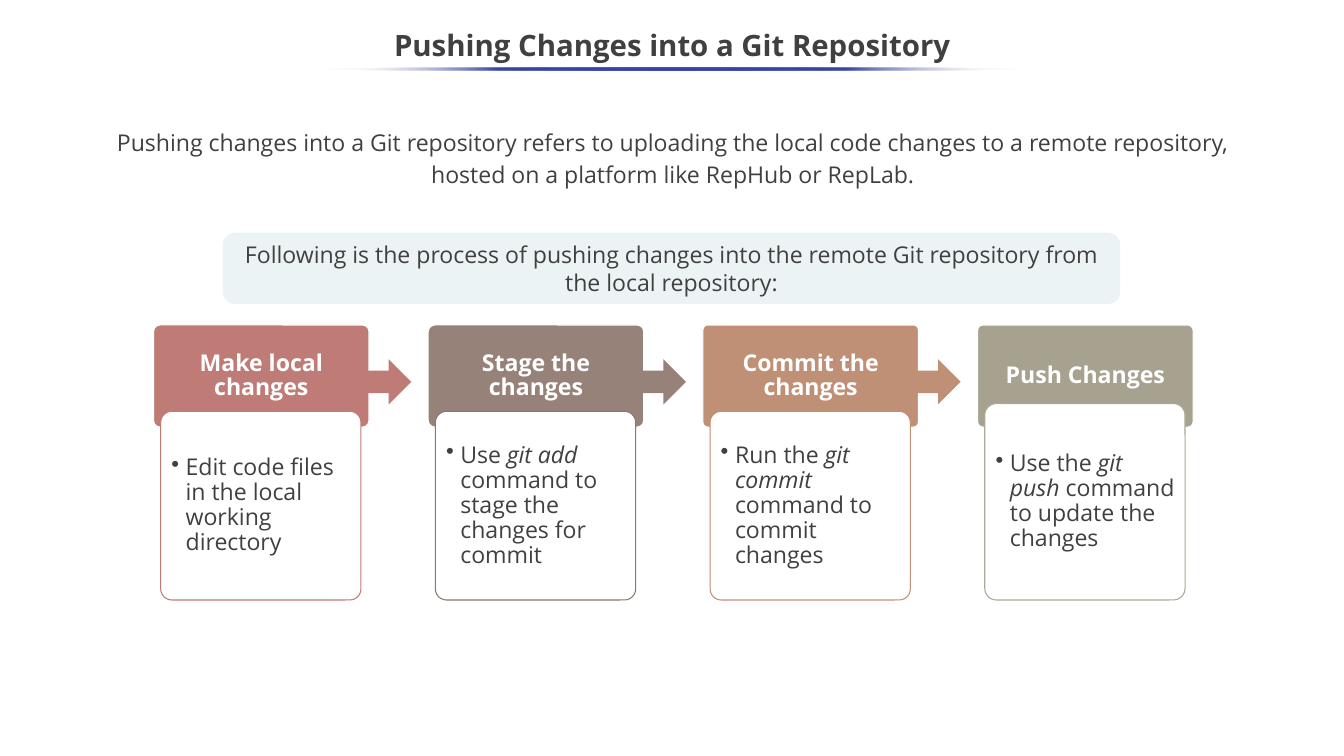
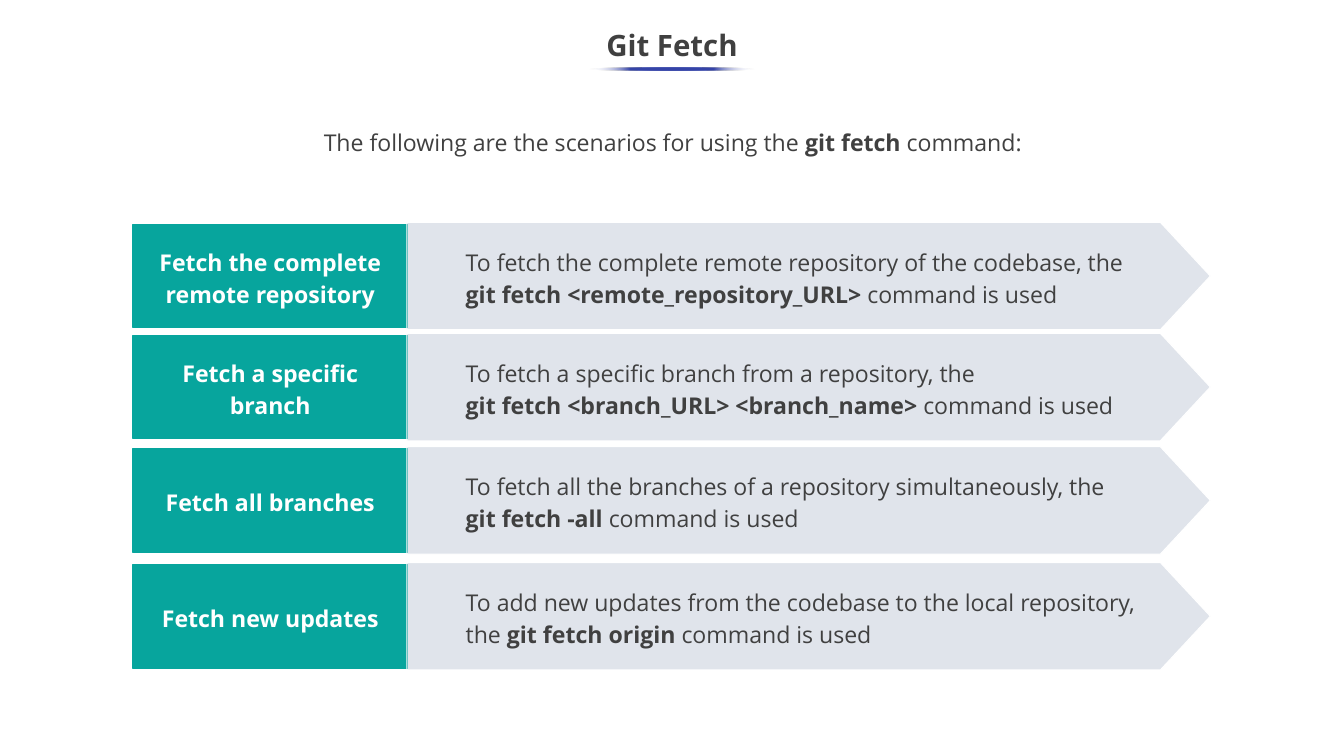
from lxml.etree import SubElement
from pptx import Presentation
from pptx.dml.color import RGBColor
from pptx.enum.shapes import MSO_SHAPE as Preset
from pptx.enum.text import MSO_ANCHOR as Anchor, PP_ALIGN as Align
from pptx.oxml import parse_xml
from pptx.oxml.ns import nsdecls, qn
from pptx.util import Cm, Pt

FONT = "Open Sans"
INK, WHITE = "404040", "FFFFFF"
RULE, BANNER, LABEL, ARROW_TINT = "3645A9", "EBF3F4", "07A59D", "8497B0"
SLIDE_W, SLIDE_H = 45.16, 25.4

# heading, task (emphasis between asterisks), colour, card line, card top, rounding
STEPS = [
    ("Make local changes", "Edit code files in the local working directory",
     "BF7B75", "BF7B75", 13.82, 0.065),
    ("Stage the changes", "Use *git add* command to stage the changes for commit",
     "978279", "8C766D", 13.82, 0.065),
    ("Commit the changes", "Run the *git commit *command to commit changes",
     "BF9075", "BF9075", 13.82, 0.047),
    ("Push Changes", "Use the *git push* command to update the changes",
     "A7A28F", "ACA896", 13.56, 0.052),
]
STEP_LEFT, STEP_TOP, STEP_PITCH = 5.16, 10.92, 9.23
STEP_W, STEP_H = 7.24, 3.43
CARD_W, CARD_BOTTOM = 6.73, 20.16

# row top, scenario, lines of explanation
SCENARIOS = [
    (7.47, "Fetch the complete remote repository",
     ["To fetch the complete remote repository of the codebase, the",
      "*git fetch <remote_repository_URL> *command is used"]),
    (11.2, "Fetch a specific branch",
     ["To fetch a specific branch from a repository, the",
      "*git fetch <branch_URL> <branch_name> *command is used"]),
    (15.01, "Fetch all branches",
     ["To fetch all the branches of a repository simultaneously, the",
      "*git fetch -all *command is used"]),
    (18.9, "Fetch new updates",
     ["To add new updates from the codebase to the local repository, "
      "the *git fetch origin *command is used"]),
]
LABEL_LEFT, LABEL_W, LABEL_H = 4.47, 9.22, 3.48
ARROW_LEFT, ARROW_SHOULDER, ARROW_TIP, ARROW_H = 13.67, 38.99, 40.67, 3.61


def rgb(hex_code):
    return RGBColor.from_string(hex_code)


def write(shape, lines, color=INK, size=22, bold=False, emphasis="bold",
          align=Align.CENTER, spacing=None, anchor=Anchor.MIDDLE,
          insets=(0.25, 0.13, 0.25, 0.13), bullet=False):
    """Fill the shape with lines, emphasising what stands between asterisks."""
    frame = shape.text_frame
    left, top, right, bottom = map(Cm, insets)
    layout = {"word_wrap": True, "vertical_anchor": anchor,
              "margin_left": left, "margin_top": top,
              "margin_right": right, "margin_bottom": bottom}
    for key, value in layout.items():
        setattr(frame, key, value)
    for number, line in enumerate(lines):
        paragraph = frame.add_paragraph() if number else frame.paragraphs[0]
        if bullet:
            add_bullet(paragraph)
        paragraph.alignment = align
        paragraph.line_spacing = spacing
        for part, words in enumerate(line.split("*")):
            if not words:
                continue
            run = paragraph.add_run()
            run.text = words
            style = {"name": FONT, "size": Pt(size), "bold": bold}
            if part % 2:
                style[emphasis] = True
            for key, value in style.items():
                setattr(run.font, key, value)
            run.font.color.rgb = rgb(color)


def add_bullet(paragraph):
    properties = paragraph._p.get_or_add_pPr()
    indent = Cm(0.48)
    properties.set("marL", str(indent))
    properties.set("indent", str(-indent))
    bullet_color = SubElement(properties, qn("a:buClr"))
    SubElement(bullet_color, qn("a:srgbClr"), val=INK)
    SubElement(properties, qn("a:buChar"), char="•")


def paint(shape, fill, line=None):
    shape.shadow.inherit = False
    shape.fill.solid()
    shape.fill.fore_color.rgb = rgb(fill)
    if line:
        shape.line.color.rgb = rgb(line)
        shape.line.width = Pt(1)
    else:
        shape.line.fill.background()


def add_block(slide, preset, box, fill, line=None, rounding=None):
    block = slide.shapes.add_shape(preset, *map(Cm, box))
    paint(block, fill, line)
    if rounding is not None:
        block.adjustments[0] = rounding
    return block


def add_text(slide, box, lines, **style):
    write(slide.shapes.add_textbox(*map(Cm, box)), lines, **style)


def add_title_rule(slide, width):
    """Thin ellipse under the title, fading out at both ends."""
    rule = add_block(slide, Preset.OVAL,
                     ((SLIDE_W - width) / 2, 2.26, width, 0.1), RULE)
    faded = f'<a:srgbClr val="{WHITE}"><a:alpha val="0"/></a:srgbClr>'
    solid = f'<a:srgbClr val="{RULE}"/>'
    stops = "".join(
        f'<a:gs pos="{percent * 1000}">{faded if percent in (0, 100) else solid}</a:gs>'
        for percent in range(0, 101, 25))
    gradient = parse_xml(
        f'<a:gradFill {nsdecls("a")}><a:gsLst>{stops}</a:gsLst>'
        '<a:lin ang="10800000" scaled="0"/></a:gradFill>')
    properties = rule._element.spPr
    properties.replace(properties.find(qn("a:solidFill")), gradient)


def add_titled_slide(deck, title, rule_width, intro):
    slide = deck.slides.add_slide(deck.slide_layouts[6])
    add_text(slide, (3.58, 4.19, 38.05, 2.51), [intro], spacing=1.15,
             anchor=Anchor.TOP, insets=(0.25, 0, 0.25, 0))
    add_text(slide, (0, 0.64, SLIDE_W, 1.9), [title], size=28, bold=True,
             spacing=0.9)
    add_title_rule(slide, rule_width)
    return slide


def add_step(slide, left, step, has_next):
    heading, task, color, outline, card_top, rounding = step
    header = add_block(slide, Preset.ROUNDED_RECTANGLE,
                       (left, STEP_TOP, STEP_W, STEP_H), color, WHITE, rounding)
    write(header, [heading], color=WHITE, bold=True, spacing=0.9)
    if has_next:
        add_block(slide, Preset.RIGHT_ARROW, (left + 7.14, 12.07, 1.52, 1.52), color)
    card = add_block(slide, Preset.ROUNDED_RECTANGLE,
                     (left + 0.24, card_top, CARD_W, CARD_BOTTOM - card_top),
                     WHITE, outline, 0.059)
    write(card, [task], emphasis="italic", align=Align.LEFT, spacing=0.9,
          insets=(0.25, 0.13, 0.2, 0.13), bullet=True)


def add_scenario(slide, top, name, explanation):
    label = add_block(slide, Preset.RECTANGLE,
                      (LABEL_LEFT, top + 0.07, LABEL_W, LABEL_H), LABEL, LABEL)
    write(label, [name], color=WHITE, bold=True, spacing=1.15,
          insets=(0.3, 0.13, 0.3, 0.13))

    bottom = top + ARROW_H
    outline = [(ARROW_SHOULDER, top), (ARROW_TIP, top + ARROW_H / 2),
               (ARROW_SHOULDER, bottom), (ARROW_LEFT, bottom)]
    builder = slide.shapes.build_freeform(Cm(ARROW_LEFT), Cm(top))
    builder.add_line_segments([(Cm(x), Cm(y)) for x, y in outline], close=True)
    arrow = builder.convert_to_shape()
    paint(arrow, ARROW_TINT, WHITE)
    tint = arrow._element.spPr.find(qn("a:solidFill")).find(qn("a:srgbClr"))
    SubElement(tint, qn("a:alpha"), val="25000")
    write(arrow, explanation, align=Align.LEFT, spacing=1.15,
          insets=(1.98, 0.08, 1.83, 0.08))


def build_push_slide(deck):
    slide = add_titled_slide(
        deck, "Pushing Changes into a Git Repository", 23.37,
        "Pushing changes into a Git repository refers to uploading the local code "
        "changes to a remote repository, hosted on a platform like RepHub or RepLab.")
    for index, step in enumerate(STEPS):
        add_step(slide, STEP_LEFT + index * STEP_PITCH, step, index < len(STEPS) - 1)
    banner = add_block(slide, Preset.ROUNDED_RECTANGLE, (7.49, 7.82, 30.15, 2.39), BANNER)
    write(banner, ["Following is the process of pushing changes into the remote "
                   "Git repository from the local repository:"])


def build_fetch_slide(deck):
    slide = add_titled_slide(
        deck, "Git Fetch", 5.51,
        "The following are the scenarios for using the *git fetch *command:")
    for scenario in SCENARIOS:
        add_scenario(slide, *scenario)


def main():
    deck = Presentation()
    deck.slide_width, deck.slide_height = Cm(SLIDE_W), Cm(SLIDE_H)
    build_push_slide(deck)
    build_fetch_slide(deck)
    deck.save("out.pptx")


if __name__ == "__main__":
    main()
